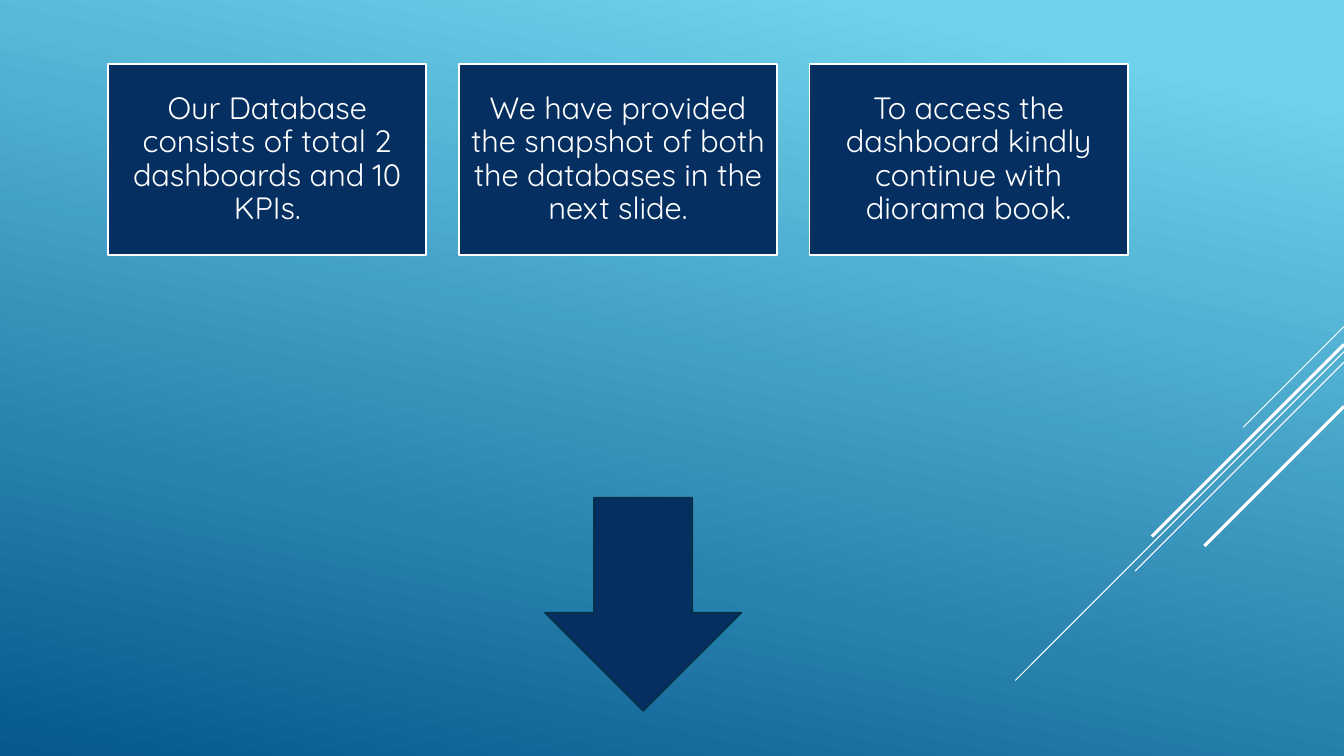
from dataclasses import dataclass

from lxml import etree
from pptx import Presentation
from pptx.dml.color import RGBColor
from pptx.enum.shapes import MSO_CONNECTOR, MSO_SHAPE
from pptx.enum.text import MSO_ANCHOR, PP_ALIGN
from pptx.oxml.ns import qn
from pptx.util import Pt

RECTANGLE = MSO_SHAPE.RECTANGLE
RIGHT_ARROW = MSO_SHAPE.RIGHT_ARROW
STRAIGHT = MSO_CONNECTOR.STRAIGHT
MIDDLE = MSO_ANCHOR.MIDDLE
CENTER = PP_ALIGN.CENTER

EMU_PER_PX = 9525
PAGE_WIDTH, PAGE_HEIGHT = 1280, 720
BLANK_LAYOUT = 6


@dataclass(frozen=True)
class Theme:
    sky: str = "6ED2EB"
    ocean: str = "06588E"
    navy: str = "052F61"
    arrow_edge: str = "043148"
    white: str = "FFFFFF"
    font: str = "Quicksand"
    card_size: float = 22
    outline: float = 1.25
    thin: float = 0.75
    thick: float = 2.25


THEME = Theme()

CARD_TEXTS = (
    "Our Database consists of total 2 dashboards and 10 KPIs.",
    "We have provided the snapshot of both the databases in the next slide.",
    "To access the dashboard kindly continue with diorama book.",
)

STREAKS = (
    (0, 96, THEME.thin),
    (24, 313, THEME.thin),
    (34, 199, THEME.thin),
    (17, 183, THEME.thick),
    (76, 133, THEME.thick),
)


def px(length):
    return length * EMU_PER_PX


def color(code):
    return RGBColor.from_string(code)


def paint_background(page):
    fill = page.background.fill
    fill.gradient()
    fill.gradient_angle = 258
    stops = ((0.1, THEME.sky), (1, THEME.ocean))
    for stop, (position, code) in zip(fill.gradient_stops, stops):
        stop.position = position
        stop.color.rgb = color(code)


def add_block(page, kind, box, edge):
    block = page.shapes.add_shape(kind, *map(px, box))
    block.shadow.inherit = False
    block.fill.solid()
    block.fill.fore_color.rgb = color(THEME.navy)
    block.line.color.rgb = color(edge)
    block.line.width = Pt(THEME.outline)
    return block


def write_text(frame, text, *, size, code, font, margin, spacing):
    frame.word_wrap = True
    frame.vertical_anchor = MIDDLE
    frame.margin_left = frame.margin_right = px(margin)
    frame.margin_top = frame.margin_bottom = px(margin)
    para = frame.paragraphs[0]
    para.alignment = CENTER
    para.line_spacing = spacing
    span = para.add_run()
    span.text = text
    span.font.size = Pt(size)
    span.font.name = font
    span.font.color.rgb = color(code)


def add_streaks(page, box):
    left, top, width, height = box
    right = left + width
    for drop, reach, weight in STREAKS:
        start = top + drop
        streak = page.shapes.add_connector(
            STRAIGHT, px(right), px(start), px(right - reach), px(start + reach)
        )
        streak.line.color.rgb = color(THEME.white)
        streak.line.width = Pt(weight)
        etree.SubElement(streak._element.spPr, qn("a:effectLst"))


def add_cards(page, box, gap):
    left, top, width, height = box
    count = len(CARD_TEXTS)
    card_width = (width - gap * (count - 1)) // count
    for index, text in enumerate(CARD_TEXTS):
        card_left = left + index * (card_width + gap)
        card = add_block(
            page, RECTANGLE, (card_left, top, card_width, height), THEME.white
        )
        write_text(
            card.text_frame, text, size=THEME.card_size, code=THEME.white,
            font=THEME.font, margin=9, spacing=0.9,
        )


def add_down_arrow(page, box):
    arrow = add_block(page, RIGHT_ARROW, box, THEME.arrow_edge)
    arrow.rotation = 90


def main():
    deck = Presentation()
    deck.slide_width = px(PAGE_WIDTH)
    deck.slide_height = px(PAGE_HEIGHT)
    page = deck.slides.add_slide(deck.slide_layouts[BLANK_LAYOUT])
    paint_background(page)
    add_streaks(page, (967, 311, 313, 337))
    add_cards(page, (103, 61, 971, 182), gap=31)
    add_down_arrow(page, (511, 482, 203, 187))
    deck.save("out.pptx")


if __name__ == "__main__":
    main()
